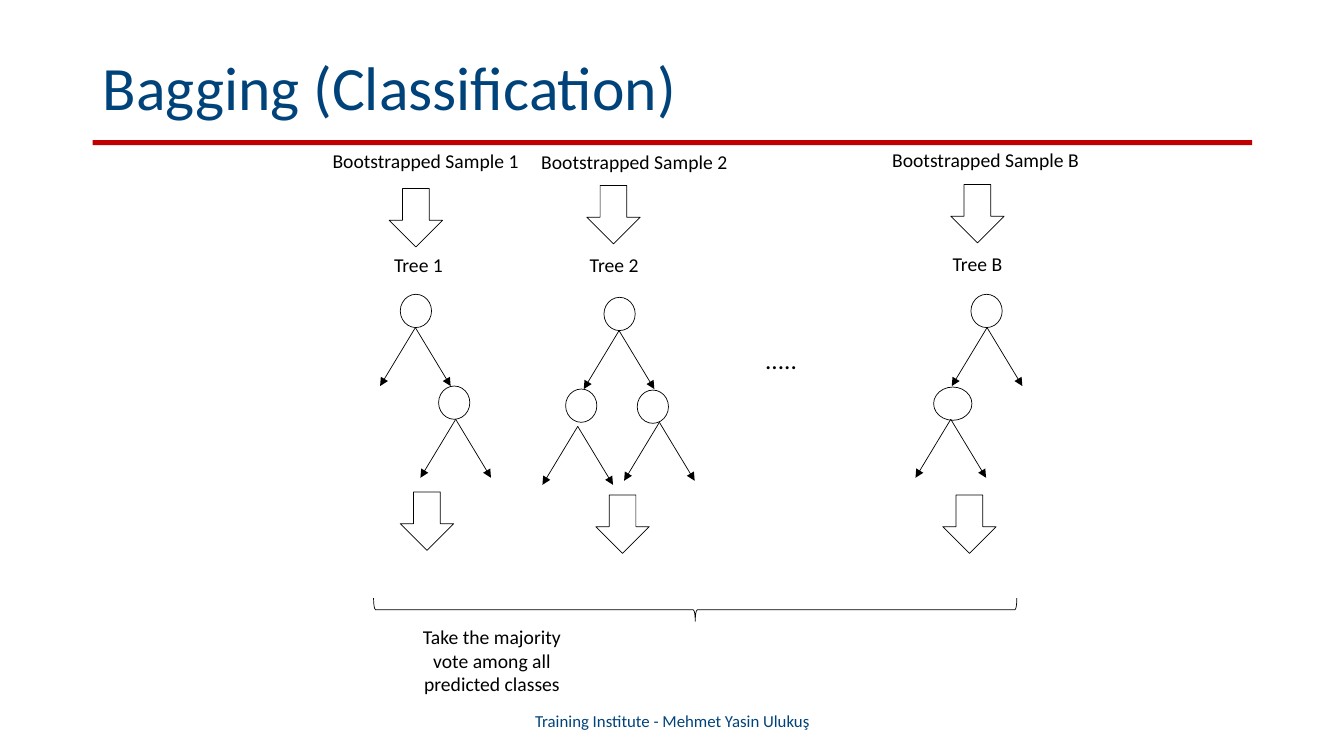
from lxml.etree import SubElement
from pptx import Presentation
from pptx.dml.color import RGBColor
from pptx.enum.shapes import MSO_CONNECTOR as Connector, MSO_SHAPE as Shape
from pptx.enum.text import MSO_ANCHOR as Anchor, PP_ALIGN as Align
from pptx.oxml.ns import qn
from pptx.util import Inches, Pt

NAVY = RGBColor(0x00, 0x43, 0x7A)
RED = RGBColor(0xC0, 0x00, 0x00)
BLACK = RGBColor(0x00, 0x00, 0x00)


class Diagram:
    """Draws styled elements on one slide."""

    font = "Calibri"
    stroke = Pt(0.5)

    def __init__(self, slide):
        self.slide = slide

    def text(self, words, left, top, width, height, size=14, color=BLACK,
             align=Align.LEFT, anchor=Anchor.TOP, wrap=True, spacing=None):
        box = self.slide.shapes.add_textbox(
            Inches(left), Inches(top), Inches(width), Inches(height))
        frame = box.text_frame
        frame.word_wrap = wrap
        frame.vertical_anchor = anchor
        paragraph = frame.paragraphs[0]
        paragraph.alignment = align
        paragraph.line_spacing = spacing
        run = paragraph.add_run()
        run.text = words
        run.font.name = self.font
        run.font.size = Pt(size)
        run.font.color.rgb = color

    def shape(self, kind, left, top, width, height, fill=None, rotation=0, group=None):
        shapes = (group or self.slide).shapes
        figure = shapes.add_shape(
            kind, Inches(left), Inches(top), Inches(width), Inches(height))
        figure.shadow.inherit = False
        figure.rotation = rotation
        if fill is None:
            figure.fill.background()
            figure.line.color.rgb = BLACK
            figure.line.width = self.stroke
        else:
            figure.fill.solid()
            figure.fill.fore_color.rgb = fill
            figure.line.fill.background()

    def branch(self, group, x, y, reach, drop=0.58):
        arrow = group.shapes.add_connector(
            Connector.STRAIGHT, Inches(x), Inches(y), Inches(x + reach), Inches(y + drop))
        arrow.line.color.rgb = BLACK
        arrow.line.width = self.stroke
        properties = arrow.element.spPr
        SubElement(properties.find(qn("a:ln")), qn("a:tailEnd"), type="triangle")
        SubElement(properties, qn("a:effectLst"))

    def tree(self, nodes):
        group = self.slide.shapes.add_group_shape()
        for left, top, width, split_x, split_y in nodes:
            self.shape(Shape.OVAL, left, top, width, 0.33, group=group)
            for reach in (0.35, -0.35):
                self.branch(group, split_x, split_y, reach)

    def down_arrow(self, left, top):
        self.shape(Shape.DOWN_ARROW, left, top, 0.53, 0.58)


SAMPLES = [
    ("1", (3.2, 1.43), (3.86, 1.87), (3.81, 2.46), (3.97, 4.88),
     [(3.97, 2.92, 0.31, 4.12, 3.25), (4.35, 3.83, 0.31, 4.52, 4.16)]),
    ("2", (5.27, 1.44), (5.82, 1.84), (5.75, 2.46), (5.91, 4.91),
     [(5.99, 2.95, 0.31, 6.14, 3.28), (5.61, 3.86, 0.31, 5.73, 4.23),
      (6.32, 3.87, 0.31, 6.54, 4.19)]),
    ("B", (8.75, 1.42), (9.43, 1.83), (9.35, 2.45), (9.35, 4.91),
     [(9.63, 2.92, 0.31, 9.79, 3.25), (9.26, 3.84, 0.38, 9.43, 4.16)]),
]


def main():
    deck = Presentation()
    deck.slide_width, deck.slide_height = Inches(13.33), Inches(7.5)
    diagram = Diagram(deck.slides.add_slide(deck.slide_layouts[6]))

    diagram.shape(Shape.RECTANGLE, 0.92, 1.39, 11.5, 0.05, fill=RED)
    diagram.text("Bagging (Classification)", 0.92, 0.4, 11.5, 0.99, size=44,
                 color=NAVY, anchor=Anchor.MIDDLE, spacing=0.9)
    diagram.text("Training Institute - Mehmet Yasin Ulukuş", 4.42, 6.95, 4.5, 0.4,
                 size=12, color=NAVY, align=Align.CENTER, anchor=Anchor.MIDDLE)

    for name, sample_at, input_at, label_at, vote_at, nodes in SAMPLES:
        diagram.text(f"Bootstrapped Sample {name}", *sample_at, 2.07, 0.64, wrap=False)
        diagram.down_arrow(*input_at)
        diagram.text(f"Tree {name}", *label_at, 0.69, 0.34, wrap=False)
        diagram.tree(nodes)
        diagram.down_arrow(*vote_at)

    diagram.text(".....", 7.49, 3.37, 1.17, 0.4, size=18)
    diagram.shape(Shape.RIGHT_BRACE, 6.78, 2.86, 0.23, 6.38, rotation=90)
    diagram.text("Take the majority vote among all predicted classes",
                 4.03, 6.15, 1.7, 0.81, align=Align.CENTER)
    deck.save("out.pptx")


if __name__ == "__main__":
    main()
